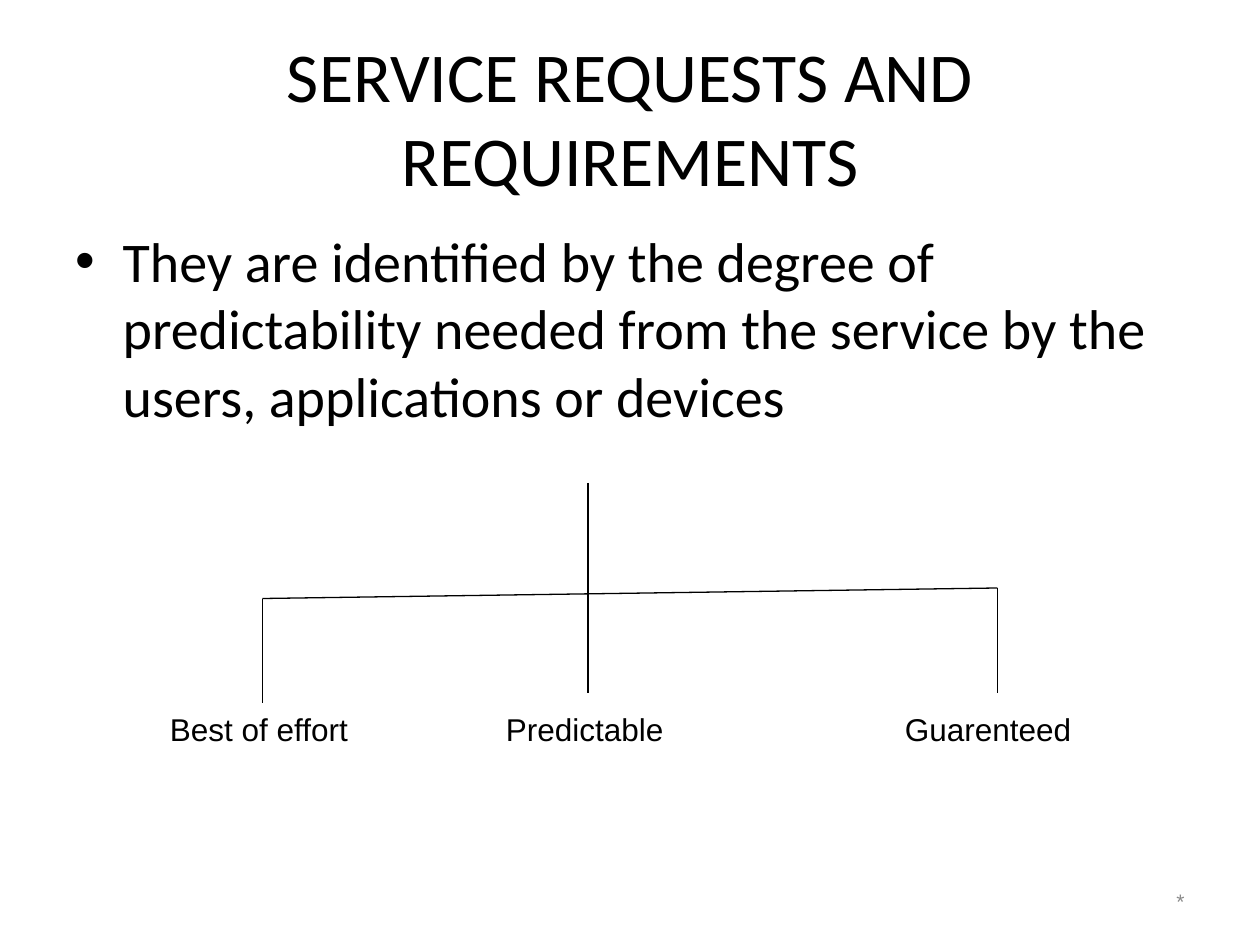
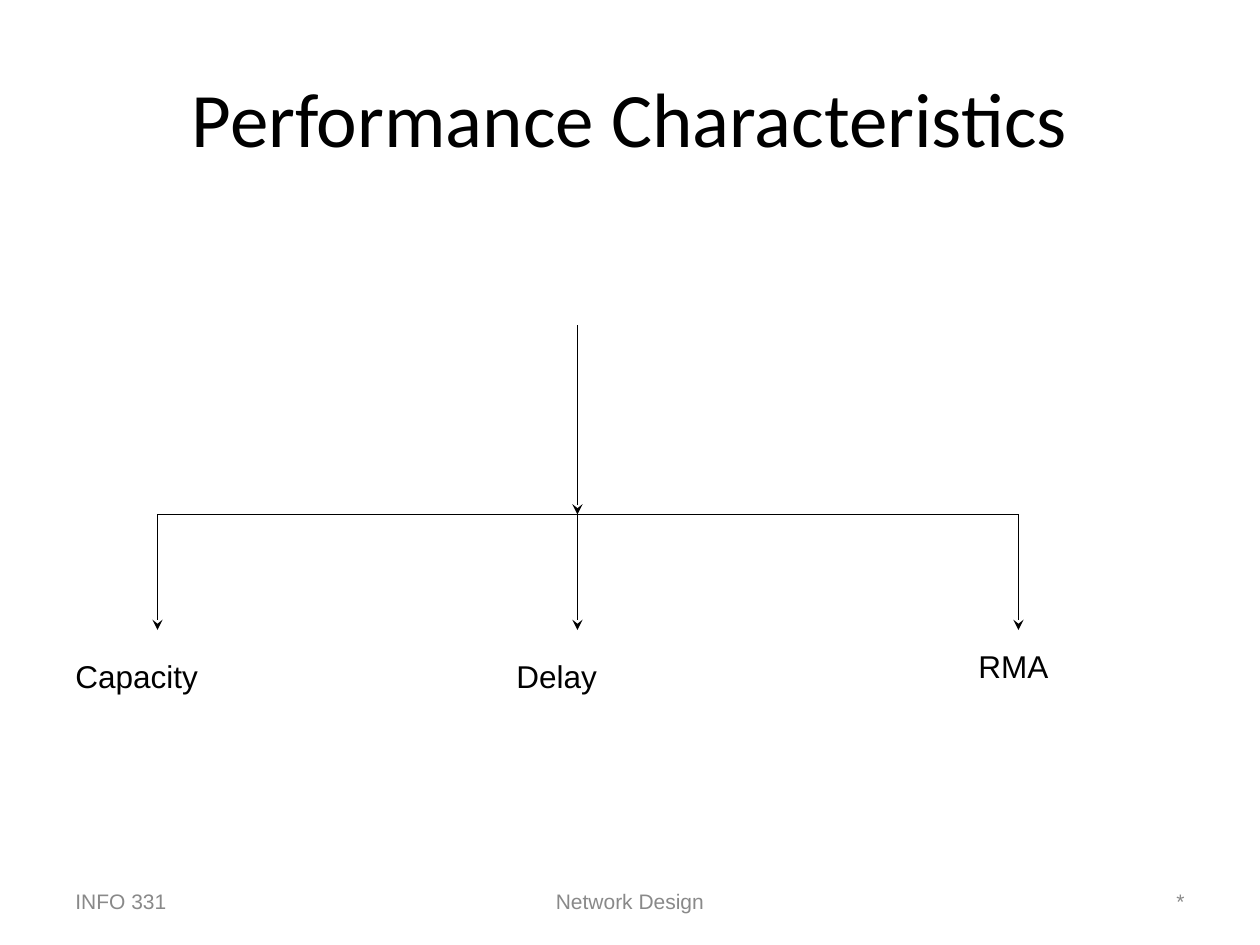
from dataclasses import dataclass

from lxml import etree
from pptx import Presentation
from pptx.dml.color import RGBColor
from pptx.enum import shapes, text
from pptx.oxml import ns
from pptx.util import Pt

COLOURS = {"background": "FFFFFF", "ink": "000000", "footer": "898989"}
TITLE_FONT, LABEL_FONT = "Calibri", "Arial"
LEFT, CENTRE, RIGHT = text.PP_ALIGN.LEFT, text.PP_ALIGN.CENTER, text.PP_ALIGN.RIGHT
TOP, MIDDLE = text.MSO_ANCHOR.TOP, text.MSO_ANCHOR.MIDDLE
BULLET_INDENT = 27


@dataclass(frozen=True)
class Box:
    left: float
    top: float
    width: float
    height: float


@dataclass(frozen=True)
class TextStyle:
    font: str
    size: float
    colour: str = "ink"
    align: text.PP_ALIGN = LEFT
    anchor: text.MSO_ANCHOR = TOP


@dataclass(frozen=True)
class Footer:
    words: str
    box: Box
    align: text.PP_ALIGN


@dataclass(frozen=True)
class Branch:
    """One drop from the bar, with the label below it."""
    label: str
    x: float
    bar_y: float
    end_y: float
    label_left: float
    label_top: float


@dataclass(frozen=True)
class Tree:
    trunk_top: float
    branches: tuple[Branch, ...]
    label_width: float
    arrows: bool


TITLE_BOX = Box(36, 21.6, 648, 90)
BODY_BOX = Box(36, 126, 648, 356.4)
BODY_STYLE = TextStyle(TITLE_FONT, 32)
LABEL_STYLE = TextStyle(LABEL_FONT, 18)
LABEL_HEIGHT = 28.8

COURSE = Footer("INFO 331", Box(36, 500.4, 168, 28.8), LEFT)
SUBJECT = Footer("Network Design", Box(246, 500.4, 228, 28.8), CENTRE)
NUMBER = Footer("*", Box(516, 500.4, 168, 28.8), RIGHT)

SERVICE_TREE = Tree(276, (
    Branch("Best of effort", 150, 342, 402, 90, 402),
    Branch("Predictable", 336, 336, 396, 282, 402),
    Branch("Guarenteed", 570, 336, 396, 510, 402),
), 156, arrows=False)

PERFORMANCE_TREE = Tree(186, (
    Branch("Capacity", 90, 294, 360, 36, 372),
    Branch("Delay", 330, 294, 360, 288, 372),
    Branch("RMA", 582, 294, 360, 552, 366),
), 138, arrows=True)


def colour(name: str) -> RGBColor:
    return RGBColor.from_string(COLOURS[name])


def place(shape, box: Box) -> None:
    shape.left, shape.top = Pt(box.left), Pt(box.top)
    shape.width, shape.height = Pt(box.width), Pt(box.height)


def write(shape, words: str, style: TextStyle):
    frame = shape.text_frame
    frame.word_wrap = True
    frame.auto_size = text.MSO_AUTO_SIZE.NONE
    frame.vertical_anchor = style.anchor
    paragraph = frame.paragraphs[0]
    paragraph.alignment = style.align
    run = paragraph.add_run()
    run.text = words
    run.font.name, run.font.size = style.font, Pt(style.size)
    run.font.color.rgb = colour(style.colour)
    return paragraph


def add_text(slide, words: str, box: Box, style: TextStyle):
    shape = slide.shapes.add_textbox(0, 0, 0, 0)
    place(shape, box)
    return write(shape, words, style)


def add_bullet(slide, words: str) -> None:
    paragraph = add_text(slide, words, BODY_BOX, BODY_STYLE)
    properties = paragraph._p.get_or_add_pPr()
    properties.set("marL", str(Pt(BULLET_INDENT)))
    properties.set("indent", str(-Pt(BULLET_INDENT)))
    etree.SubElement(properties, ns.qn("a:buFont"), typeface=LABEL_FONT)
    etree.SubElement(properties, ns.qn("a:buChar"), char="•")


def add_line(slide, x1: float, y1: float, x2: float, y2: float, arrow: bool = False) -> None:
    line = slide.shapes.add_connector(
        shapes.MSO_CONNECTOR.STRAIGHT, Pt(x1), Pt(y1), Pt(x2), Pt(y2))
    line.line.color.rgb = colour("ink")
    line.line.width = Pt(0.75)
    if arrow:
        etree.SubElement(line.line._get_or_add_ln(), ns.qn("a:tailEnd"), type="stealth")
    etree.SubElement(line._element.spPr, ns.qn("a:effectLst"))


def add_tree(slide, tree: Tree) -> None:
    first, middle, last = tree.branches
    add_line(slide, middle.x, tree.trunk_top, middle.x, middle.bar_y, tree.arrows)
    add_line(slide, first.x, first.bar_y, last.x, last.bar_y)
    for branch in tree.branches:
        add_line(slide, branch.x, branch.bar_y, branch.x, branch.end_y, tree.arrows)
        label_box = Box(branch.label_left, branch.label_top, tree.label_width, LABEL_HEIGHT)
        add_text(slide, branch.label, label_box, LABEL_STYLE)


def add_slide(presentation, title: str, title_size: float, footers: tuple[Footer, ...]):
    """Add a title-only slide with the shared background, title and footers."""
    slide = presentation.slides.add_slide(presentation.slide_layouts[5])
    slide.background.fill.solid()
    slide.background.fill.fore_color.rgb = colour("background")
    place(slide.shapes.title, TITLE_BOX)
    write(slide.shapes.title, title,
          TextStyle(TITLE_FONT, title_size, align=CENTRE, anchor=MIDDLE))
    for footer in footers:
        style = TextStyle(LABEL_FONT, 12, "footer", footer.align, MIDDLE)
        add_text(slide, footer.words, footer.box, style)
    return slide


def main() -> None:
    presentation = Presentation()
    presentation.slide_width, presentation.slide_height = Pt(720), Pt(540)

    service = add_slide(presentation, "SERVICE REQUESTS AND REQUIREMENTS", 40, (NUMBER,))
    add_bullet(service, "They are identified by the degree of predictability needed "
                        "from the service by the users, applications or devices")
    add_tree(service, SERVICE_TREE)

    performance = add_slide(presentation, "Performance Characteristics", 44,
                            (COURSE, SUBJECT, NUMBER))
    add_tree(performance, PERFORMANCE_TREE)

    presentation.save("out.pptx")


if __name__ == "__main__":
    main()
